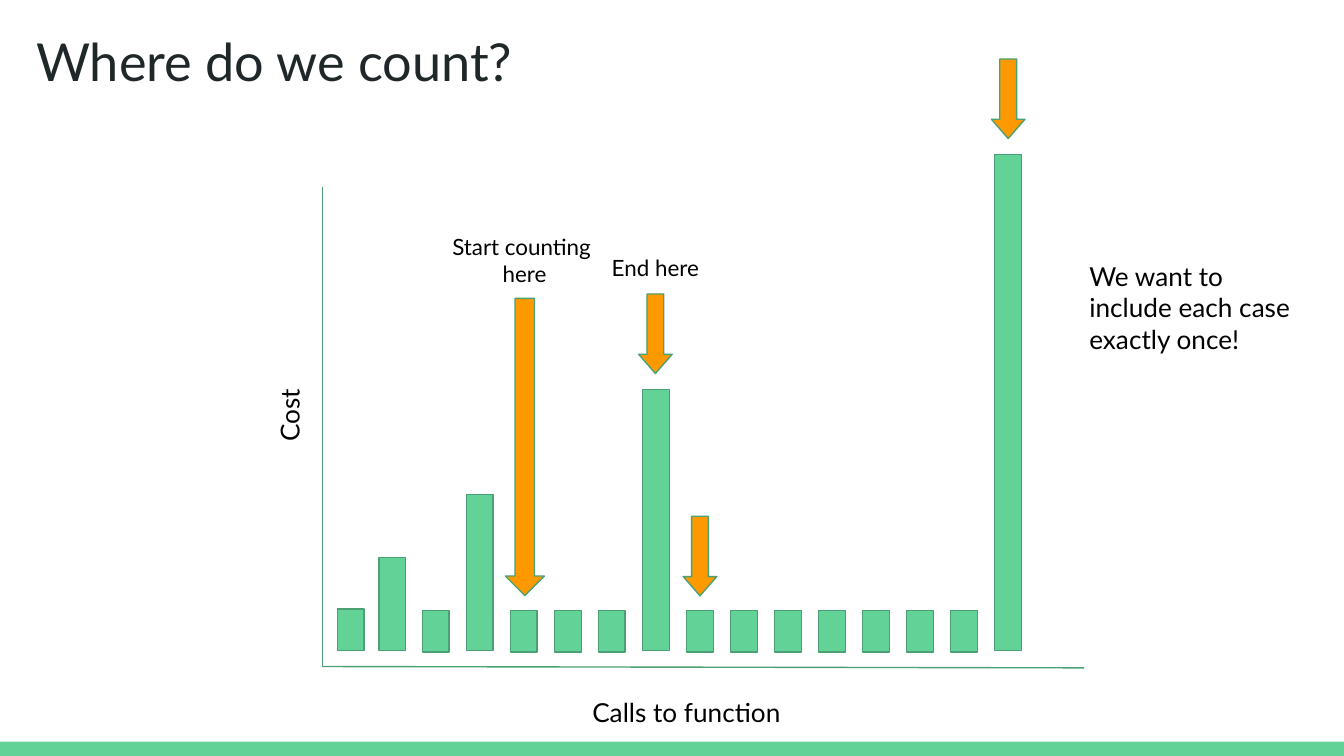
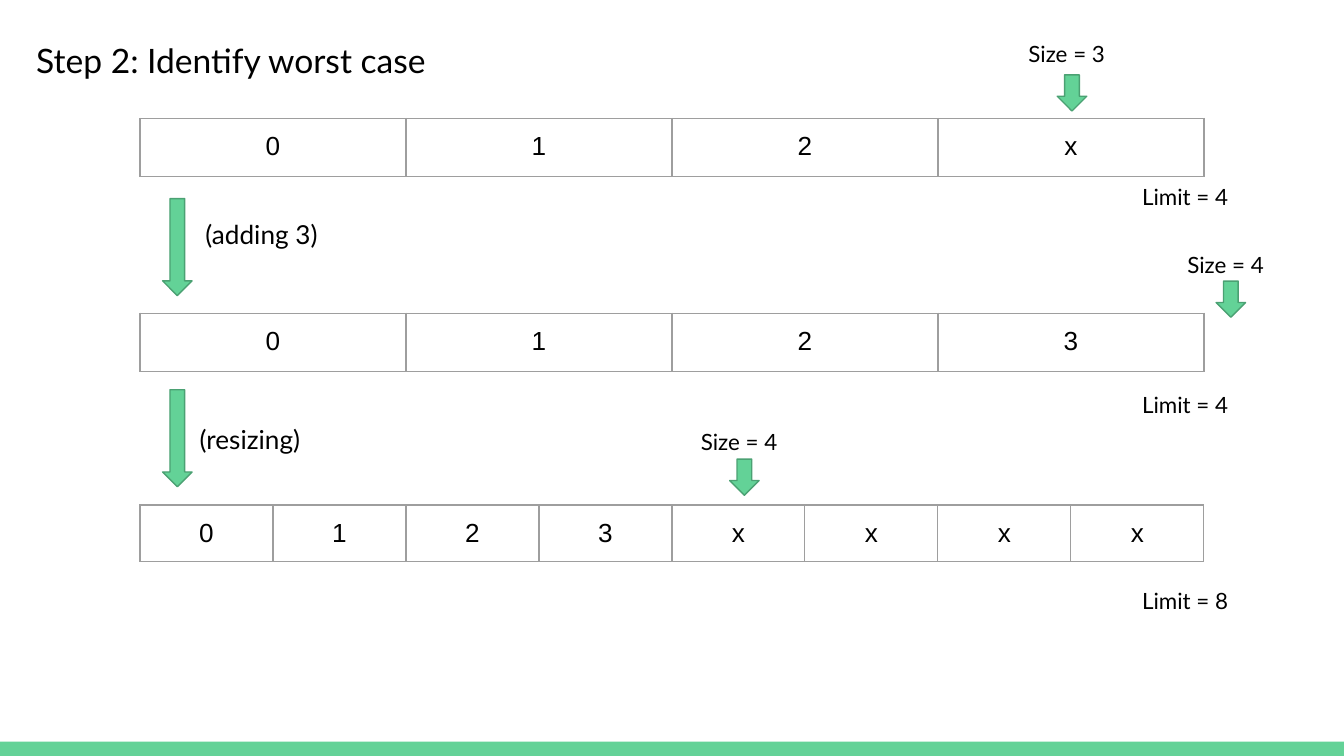
from dataclasses import dataclass
from typing import Any

from lxml.etree import SubElement
from pptx import Presentation
from pptx.dml.color import RGBColor
from pptx.enum.shapes import MSO_CONNECTOR as Connector, MSO_SHAPE as Preset
from pptx.enum.text import MSO_ANCHOR as Anchor, MSO_AUTO_SIZE as AutoSize, PP_ALIGN as Align
from pptx.oxml.ns import qn
from pptx.shapes.autoshape import Shape
from pptx.slide import Slide
from pptx.text.text import TextFrame
from pptx.util import Pt

COLORS = {
    "background": "FFFFFF",
    "green": "63D297",
    "outline": "4BA173",
    "orange": "FF9900",
    "title": "202729",
    "text": "000000",
    "grid": "9E9E9E",
}
LINE_WIDTH = Pt(0.75)
MARGINS = {f"margin_{side}": Pt(7.2) for side in ("left", "right", "top", "bottom")}
FRAME_FORMAT = {
    **MARGINS,
    "word_wrap": True,
    "auto_size": AutoSize.NONE,
    "vertical_anchor": Anchor.TOP,
}
CELL_FORMAT = {**MARGINS, "vertical_anchor": Anchor.TOP}
TABLE_FORMAT = {"first_row": False, "horz_banding": False}
TABLE_FRAME_FORMAT = {"width": Pt(236.2), "height": Pt(236.2)}


@dataclass(frozen=True)
class Box:
    left: float
    top: float
    width: float
    height: float

    def lengths(self) -> tuple[Pt, Pt, Pt, Pt]:
        return Pt(self.left), Pt(self.top), Pt(self.width), Pt(self.height)


@dataclass(frozen=True)
class Label:
    text: str
    box: Box
    size: float = 14
    align: Align = Align.LEFT
    rotation: float = 0


@dataclass(frozen=True)
class Arrow:
    box: Box
    color: str
    head: float = 0.5


@dataclass(frozen=True)
class ArrayState:
    cells: str
    top: float
    height: float
    size: int
    size_left: float
    size_top: float
    arrow_top: float
    limit_top: float


BAR_COUNT, BAR_WIDTH, BAR_PITCH, LAST_BAR_LEFT = 16, 14.4, 23.58, 532.8
CHEAP_HEIGHT, CHEAP_BOTTOM, COSTLY_BOTTOM = 22.3, 349.3, 348.5
COSTLY_HEIGHTS = {0: 22.3, 1: 49.7, 3: 83.5, 7: 139.7, 15: 265.7}
BAR_NUDGES = {0: 1.6, 1: 0.3}
AXES = [(172.8, 357.1, 172.8, 100.1), (172.8, 357.1, 580.8, 357.8)]
COUNT_ARROWS = [Arrow(Box(270.7, 159.9, 20.9, 159.2), "orange")] + [
    Arrow(Box(left, top, 18, 42.6), "orange", 0.573)
    for left, top in [(342.1, 157.5), (366, 276.6), (531.1, 31.6)]
]
COUNT_LABELS = [
    Label("Cost", Box(123.8, 203, 56.2, 25.2), rotation=270),
    Label("Calls to function", Box(310.2, 365.8, 133.2, 39.6)),
    Label("Start counting \nhere", Box(234.2, 117.6, 93.6, 42.5), 12, Align.CENTER),
    Label("End here", Box(304.3, 128.9, 93.6, 28), 12, Align.CENTER),
    Label("We want to include each case exactly once!", Box(576.5, 132.3, 125.3, 121)),
]

TABLE_LEFT, TABLE_WIDTH = 75, 570
ARRAY_STATES = [
    ArrayState("012x", 63.4, 31.3, 3, 543.9, 14.4, 40.1, 91.2),
    ArrayState("0123", 167.8, 31.3, 4, 629, 127.4, 150.6, 202.3),
    ArrayState("0123xxxx", 270.5, 30.3, 4, 368.4, 222, 246, 307.4),
]
STEP_ARROWS = [Arrow(Box(87.1, top, 15.8, 52), "green") for top in (106.4, 208.8)]
STEP_LABELS = [
    Label("(adding 3)", Box(103, 109.9, 112.3, 31)),
    Label("(resizing)", Box(99.9, 219.4, 112.3, 31)),
]


def rgb(name: str) -> RGBColor:
    return RGBColor.from_string(COLORS[name])


def apply_format(target: Any, values: dict[str, Any]) -> None:
    for name, value in values.items():
        setattr(target, name, value)


def write_text(frame: TextFrame, text: str, size: float, align: Align = Align.LEFT,
               color: str = "text", font_name: str = "Lato") -> None:
    frame.text = text
    for paragraph in frame.paragraphs:
        paragraph.alignment = align
        for run in paragraph.runs:
            apply_format(run.font, {"size": Pt(size), "name": font_name})
            run.font.color.rgb = rgb(color)


def draw_shape(slide: Slide, preset: Preset, box: Box, color: str) -> Shape:
    shape = slide.shapes.add_shape(preset, *box.lengths())
    shape.shadow.inherit = False
    shape.fill.solid()
    shape.fill.fore_color.rgb = rgb(color)
    shape.line.color.rgb = rgb("outline")
    shape.line.width = LINE_WIDTH
    return shape


def draw_arrow(slide: Slide, arrow: Arrow) -> None:
    shape = draw_shape(slide, Preset.DOWN_ARROW, arrow.box, arrow.color)
    shape.adjustments[0] = 0.5
    shape.adjustments[1] = arrow.head


def draw_label(slide: Slide, label: Label) -> None:
    shape = slide.shapes.add_textbox(*label.box.lengths())
    shape.rotation = label.rotation
    apply_format(shape.text_frame, FRAME_FORMAT)
    write_text(shape.text_frame, label.text, label.size, label.align)


def draw_axis(slide: Slide, ends: tuple[float, ...]) -> None:
    line = slide.shapes.add_connector(Connector.STRAIGHT, *(Pt(end) for end in ends))
    line.line.color.rgb = rgb("outline")
    line.line.width = LINE_WIDTH
    SubElement(line.element.spPr, qn("a:effectLst"))


def draw_bars(slide: Slide) -> None:
    for index in range(BAR_COUNT):
        left = LAST_BAR_LEFT - BAR_PITCH * (BAR_COUNT - 1 - index) + BAR_NUDGES.get(index, 0)
        height = COSTLY_HEIGHTS.get(index, CHEAP_HEIGHT)
        bottom = COSTLY_BOTTOM if index in COSTLY_HEIGHTS else CHEAP_BOTTOM
        draw_shape(slide, Preset.RECTANGLE, Box(left, bottom - height, BAR_WIDTH, height), "green")


def draw_table(slide: Slide, state: ArrayState) -> None:
    count = len(state.cells)
    box = Box(TABLE_LEFT, state.top, TABLE_WIDTH, state.height)
    graphic_frame = slide.shapes.add_table(1, count, *box.lengths())
    table = graphic_frame.table
    apply_format(table, TABLE_FORMAT)
    for column in table.columns:
        column.width = Pt(TABLE_WIDTH / count)
    apply_format(graphic_frame, TABLE_FRAME_FORMAT)
    for cell, text in zip(table.iter_cells(), state.cells):
        apply_format(cell, CELL_FORMAT)
        write_text(cell.text_frame, text, 14, Align.CENTER, font_name="Arial")
    for properties in graphic_frame.element.iter(qn("a:tcPr")):
        for edge in ("lnL", "lnR", "lnT", "lnB"):
            border = SubElement(properties, qn(f"a:{edge}"), w=str(int(LINE_WIDTH)))
            fill = SubElement(border, qn("a:solidFill"))
            SubElement(fill, qn("a:srgbClr"), val=COLORS["grid"])
    for cell in table.iter_cells():
        cell.fill.background()


def draw_array_state(slide: Slide, state: ArrayState) -> None:
    draw_table(slide, state)
    draw_label(slide, Label(f"Size = {state.size}",
                            Box(state.size_left, state.size_top, 60.5, 31), 12))
    draw_arrow(slide, Arrow(Box(state.size_left + 22.5, state.arrow_top, 15.8, 19.4), "green"))
    draw_label(slide, Label(f"Limit = {len(state.cells)}",
                            Box(604.8, state.limit_top, 60.5, 31), 12))


def add_slide(presentation: Presentation, title: str, box: Box, size: float, color: str) -> Slide:
    slide = presentation.slides.add_slide(presentation.slide_layouts[5])
    shape = slide.shapes.title
    apply_format(shape, dict(zip(("left", "top", "width", "height"), box.lengths())))
    apply_format(shape.text_frame, FRAME_FORMAT)
    write_text(shape.text_frame, title, size, color=color)
    return slide


def add_master_band(presentation: Presentation, slide: Slide) -> None:
    master = presentation.slide_master
    master.background.fill.solid()
    master.background.fill.fore_color.rgb = rgb("background")
    band = draw_shape(slide, Preset.RECTANGLE, Box(0, 397.4, 720, 7.6), "green")
    band.line.fill.background()
    band.element.xpath("./p:nvSpPr/p:cNvPr")[0].set("id", "20")
    master.shapes.element.append(band.element)


def main() -> None:
    presentation = Presentation()
    presentation.slide_width, presentation.slide_height = Pt(720), Pt(405)

    counting = add_slide(presentation, "Where do we count?",
                         Box(12.2, 8.6, 685.4, 49.7), 28, "title")
    add_master_band(presentation, counting)
    draw_bars(counting)
    for axis in AXES:
        draw_axis(counting, axis)
    for arrow in COUNT_ARROWS:
        draw_arrow(counting, arrow)
    for label in COUNT_LABELS:
        draw_label(counting, label)

    worst_case = add_slide(presentation, "Step 2: Identify worst case",
                           Box(12.2, 14.4, 312.5, 44.6), 18, "text")
    for state in ARRAY_STATES:
        draw_array_state(worst_case, state)
    for arrow in STEP_ARROWS:
        draw_arrow(worst_case, arrow)
    for label in STEP_LABELS:
        draw_label(worst_case, label)

    presentation.save("out.pptx")


if __name__ == "__main__":
    main()
